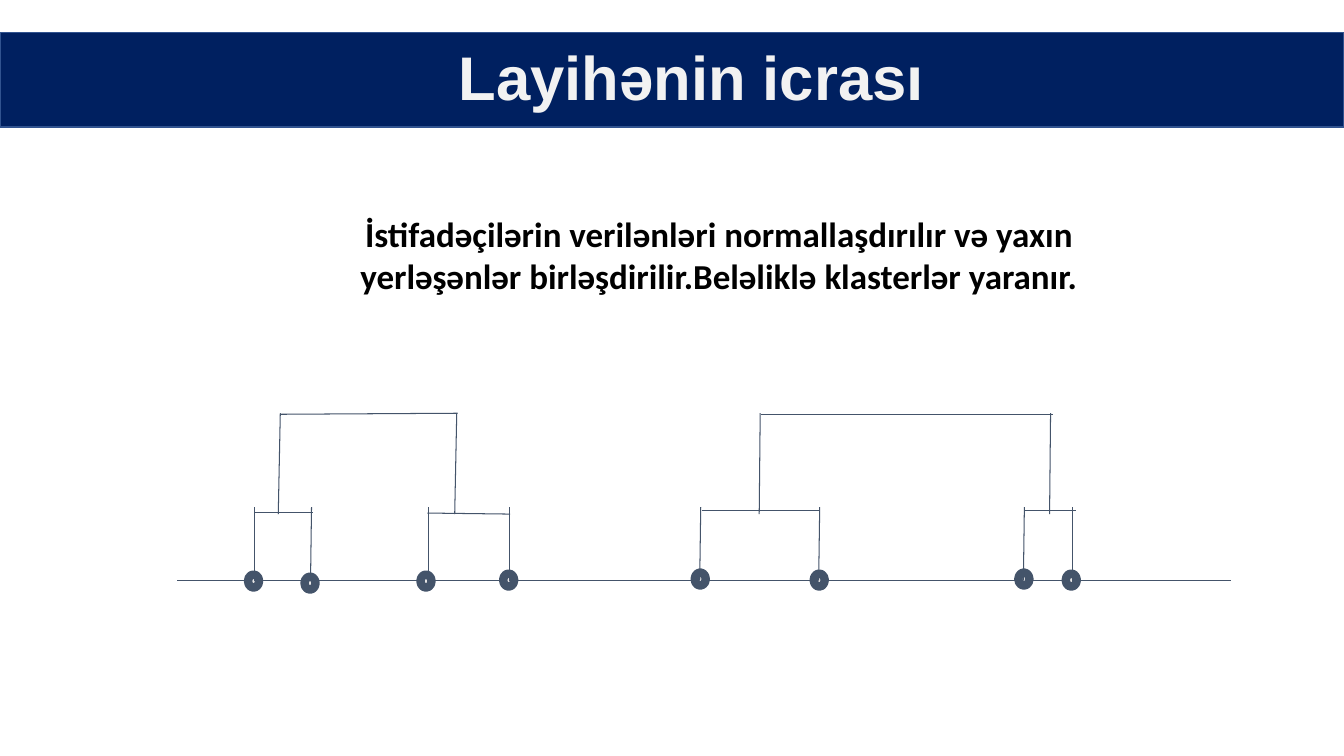
from pptx import Presentation
from pptx.dml.color import RGBColor
from pptx.enum.shapes import MSO_CONNECTOR, MSO_SHAPE
from pptx.enum.text import MSO_ANCHOR, PP_ALIGN
from pptx.oxml.ns import qn
from pptx.util import Inches, Pt
from lxml import etree

STRAIGHT = MSO_CONNECTOR.STRAIGHT
RECTANGLE, OVAL = MSO_SHAPE.RECTANGLE, MSO_SHAPE.OVAL
MIDDLE, TOP = MSO_ANCHOR.MIDDLE, MSO_ANCHOR.TOP
LEFT, CENTER = PP_ALIGN.LEFT, PP_ALIGN.CENTER

NAVY, NAVY_EDGE, SLATE = "002060", "31538F", "44546A"
PALE, OFF_WHITE, BLACK = "E7E6E6", "F2F2F2", "000000"

AXIS_Y, LEAF_TOP, BRANCH_FOOT, BRANCH_TOP = 5.76, 5.03, 5.1, 4.1
USER_SIZE = (0.11, 0.13)

# Each user: marker left, marker top, stem foot x, stem head x
USERS = [
    (2.46, 5.7, 2.52, 2.52), (3.02, 5.72, 3.08, 3.09),
    (4.17, 5.7, 4.25, 4.25), (4.99, 5.69, 5.05, 5.05),
    (6.89, 5.68, 6.94, 6.95), (8.07, 5.69, 8.12, 8.13),
    (10.1, 5.68, 10.15, 10.16), (10.57, 5.69, 10.64, 10.64),
]
PAIR_BARS = [
    (2.52, 5.08, 3.1, 5.08), (4.24, 5.09, 5.06, 5.1),
    (6.96, 5.06, 8.12, 5.06), (10.17, 5.06, 10.67, 5.06),
]
BRANCHES = [(2.76, 2.78), (4.51, 4.53), (7.53, 7.54), (10.41, 10.42)]
CLUSTER_BARS = [(2.78, 4.11, 4.54, 4.1), (7.55, 4.11, 10.44, 4.11)]


def color(hex_value):
    """Return the colour for a hex string."""
    return RGBColor.from_string(hex_value)


def add_solid(slide, kind, box, fill, edge, edge_width):
    """Add a filled, outlined preset shape."""
    solid = slide.shapes.add_shape(kind, *map(Inches, box))
    solid.shadow.inherit = False
    solid.fill.solid()
    solid.fill.fore_color.rgb = color(fill)
    solid.line.color.rgb = color(edge)
    solid.line.width = Pt(edge_width)


def add_line(slide, ends):
    """Add a thin straight line between two points."""
    line = slide.shapes.add_connector(STRAIGHT, *map(Inches, ends))
    line.line.color.rgb = color(SLATE)
    line.line.width = Pt(0.75)
    etree.SubElement(line._element.spPr, qn("a:effectLst"))


def add_text(slide, box, text, anchor, text_color, paragraph_format, font_format):
    """Add a wrapped one-paragraph text box."""
    frame = slide.shapes.add_textbox(*map(Inches, box)).text_frame
    frame.word_wrap = True
    frame.vertical_anchor = anchor
    paragraph = frame.paragraphs[0]
    run = paragraph.add_run()
    run.text = text
    run.font.color.rgb = color(text_color)
    for target, values in ((paragraph, paragraph_format), (run.font, font_format)):
        for name, value in values.items():
            setattr(target, name, value)


def add_dendrogram(slide):
    """Draw the users on their axis and the tree that joins them."""
    add_line(slide, (1.76, AXIS_Y, 12.21, AXIS_Y))
    for left, top, _, _ in USERS:
        add_solid(slide, OVAL, (left, top, *USER_SIZE), PALE, SLATE, 6)
    for _, _, foot, head in USERS:
        add_line(slide, (foot, AXIS_Y, head, LEAF_TOP))
    for foot, head in BRANCHES:
        add_line(slide, (foot, BRANCH_FOOT, head, BRANCH_TOP))
    for bar in PAIR_BARS + CLUSTER_BARS:
        add_line(slide, bar)


def main():
    """Build and save the slide."""
    deck = Presentation()
    deck.slide_width, deck.slide_height = Inches(13.33), Inches(7.5)
    slide = deck.slides.add_slide(deck.slide_layouts[6])
    add_solid(slide, RECTANGLE, (0, 0.32, 13.33, 0.94), NAVY, NAVY_EDGE, 1)
    add_text(slide, (4.45, 0.07, 11.5, 1.45), "Layihənin icrası", MIDDLE, OFF_WHITE,
             {"alignment": LEFT, "line_spacing": 0.9},
             {"name": "Arial", "size": Pt(44), "bold": True})
    add_dendrogram(slide)
    add_text(slide, (3.33, 2.06, 7.6, 0.94),
             "İstifadəçilərin verilənləri normallaşdırılır və yaxın "
             "yerləşənlər birləşdirilir.Beləliklə klasterlər yaranır.",
             TOP, BLACK, {"alignment": CENTER},
             {"name": "Calibri", "size": Pt(25), "bold": True})
    deck.save("out.pptx")


if __name__ == "__main__":
    main()
